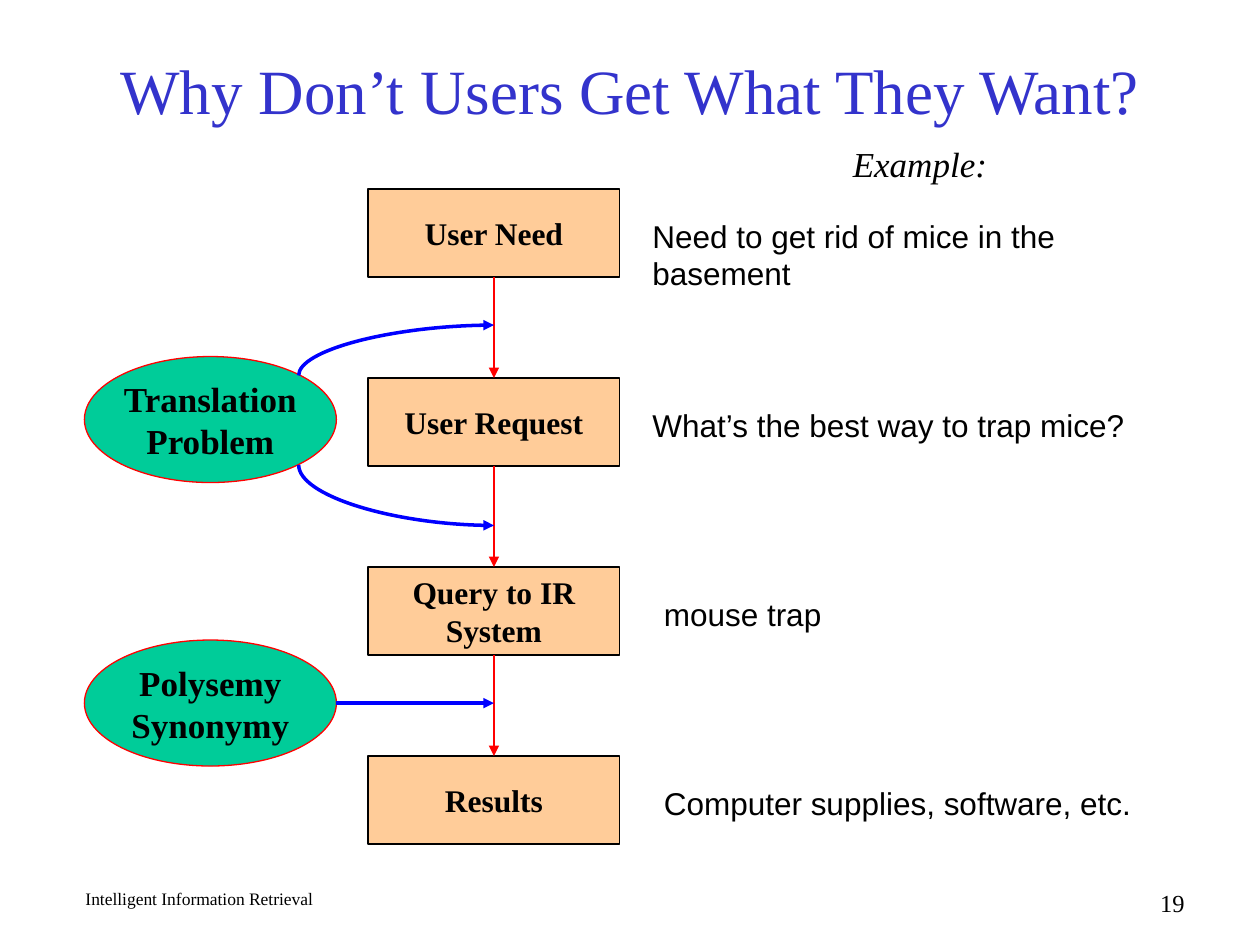
from dataclasses import dataclass

from lxml import etree
from pptx import Presentation
from pptx.dml.color import RGBColor
from pptx.enum.shapes import MSO_CONNECTOR, MSO_SHAPE
from pptx.enum.text import MSO_ANCHOR, MSO_AUTO_SIZE, PP_ALIGN
from pptx.oxml.ns import qn
from pptx.util import Inches, Pt

STRAIGHT, CURVE = MSO_CONNECTOR.STRAIGHT, MSO_CONNECTOR.CURVE
RECTANGLE, OVAL = MSO_SHAPE.RECTANGLE, MSO_SHAPE.OVAL
TOP, MIDDLE = MSO_ANCHOR.TOP, MSO_ANCHOR.MIDDLE
LEFT, CENTER, RIGHT = PP_ALIGN.LEFT, PP_ALIGN.CENTER, PP_ALIGN.RIGHT
FIT, FIXED = MSO_AUTO_SIZE.SHAPE_TO_FIT_TEXT, MSO_AUTO_SIZE.NONE
SITE_TOP, SITE_BOTTOM = 0, 2


@dataclass(frozen=True)
class Theme:
    serif: str = "Times New Roman"
    sans: str = "Arial"
    ink: str = "000000"
    title: str = "3333CC"
    step: str = "FFCC99"
    problem: str = "00CC99"
    flow: str = "FF0000"
    cause: str = "0000FF"
    title_size: int = 36
    problem_size: int = 20
    body_size: int = 18
    number_size: int = 14
    footer_size: int = 10
    thin: float = 0.75
    thick: float = 2


THEME = Theme()
STEP_X, STEP_Y, STEP_W, STEP_H, STEP_PITCH = 2.92, 1.5, 2, 0.7, 1.5
FLOW_X = STEP_X + STEP_W / 2
PROBLEM_X, PROBLEM_W, PROBLEM_H = 0.67, 2, 1

# Step label, example text, example left and width
STEPS = [
    ("User Need", "Need to get rid of mice in the basement", 5.08, 4.56),
    ("User Request", "What’s the best way to trap mice?", 5.08, 3.95),
    ("Query to IR\nSystem", "mouse trap", 5.17, 1.45),
    ("Results", "Computer supplies, software, etc.", 5.17, 3.91),
]


def write(frame, text, *, size, font=THEME.serif, color=THEME.ink, bold=False,
          italic=False, align=LEFT, anchor=TOP, wrap=True):
    frame.text = text
    frame.word_wrap = wrap
    frame.vertical_anchor = anchor
    for paragraph in frame.paragraphs:
        paragraph.alignment = align
        paragraph.font.name = font
        paragraph.font.size = Pt(size)
        paragraph.font.color.rgb = RGBColor.from_string(color)
        paragraph.font.bold = bold
        paragraph.font.italic = italic


def add_label(slide, text, box, *, auto_size=FIXED, **text_format):
    frame = slide.shapes.add_textbox(*map(Inches, box)).text_frame
    write(frame, text, **text_format)
    frame.auto_size = auto_size


def add_node(slide, kind, text, box, *, fill, outline, size):
    node = slide.shapes.add_shape(kind, *map(Inches, box))
    node.shadow.inherit = False
    node.fill.solid()
    node.fill.fore_color.rgb = RGBColor.from_string(fill)
    node.line.color.rgb = RGBColor.from_string(outline)
    node.line.width = Pt(THEME.thin)
    write(node.text_frame, text, size=size, bold=True, align=CENTER,
          anchor=MIDDLE, wrap=False)
    return node


def add_arrow(slide, start, end, *, color, width, kind=STRAIGHT):
    arrow = slide.shapes.add_connector(kind, *map(Inches, (*start, *end)))
    arrow.line.color.rgb = RGBColor.from_string(color)
    arrow.line.width = Pt(width)
    etree.SubElement(arrow.line._get_or_add_ln(), qn("a:tailEnd"), type="triangle")
    etree.SubElement(arrow._element.spPr, qn("a:effectLst"))
    return arrow


def add_bent_arrow(slide, start, end, **line_format):
    """Quarter curve that leaves start vertically and reaches end horizontally."""
    mid_x, mid_y = (start[0] + end[0]) / 2, (start[1] + end[1]) / 2
    half_x, half_y = (end[0] - start[0]) / 2, (end[1] - start[1]) / 2
    # Lay the curve out a quarter turn away, then rotate it into place
    arrow = add_arrow(slide, (mid_x + half_y, mid_y - half_x),
                      (mid_x - half_y, mid_y + half_x), kind=CURVE, **line_format)
    properties = arrow._element.spPr
    properties.find(qn("a:xfrm")).set("rot", str(270 * 60000))
    properties.find(qn("a:prstGeom")).set("prst", "curvedConnector2")


def add_steps(slide):
    steps = []
    for index, (name, example, example_x, example_w) in enumerate(STEPS):
        y = STEP_Y + index * STEP_PITCH
        steps.append(add_node(slide, RECTANGLE, name, (STEP_X, y, STEP_W, STEP_H),
                              fill=THEME.step, outline=THEME.ink,
                              size=THEME.body_size))
        add_label(slide, example, (example_x, y + 0.17, example_w, 0.4),
                  size=THEME.body_size, font=THEME.sans, wrap=False, auto_size=FIT)
    for index, (upper, lower) in enumerate(zip(steps, steps[1:])):
        y = STEP_Y + index * STEP_PITCH
        flow = add_arrow(slide, (FLOW_X, y + STEP_H), (FLOW_X, y + STEP_PITCH),
                         color=THEME.flow, width=THEME.thin)
        flow.begin_connect(upper, SITE_BOTTOM)
        flow.end_connect(lower, SITE_TOP)


def add_problems(slide):
    for name, y in (("Translation\nProblem", 2.83), ("Polysemy\nSynonymy", 5.08)):
        add_node(slide, OVAL, name, (PROBLEM_X, y, PROBLEM_W, PROBLEM_H),
                 fill=THEME.problem, outline=THEME.flow, size=THEME.problem_size)
    cause = {"color": THEME.cause, "width": THEME.thick}
    add_bent_arrow(slide, (2.37, 2.98), (FLOW_X, 2.58), **cause)
    add_bent_arrow(slide, (2.37, 3.69), (FLOW_X, 4.17), **cause)
    add_arrow(slide, (PROBLEM_X + PROBLEM_W, 5.58), (FLOW_X, 5.58), **cause)


def main():
    deck = Presentation()
    deck.slide_width, deck.slide_height = Inches(10), Inches(7.5)
    slide = deck.slides.add_slide(deck.slide_layouts[6])

    # Title and example heading
    add_label(slide, "Why Don’t Users Get What They Want?", (0.75, 0.33, 8.5, 0.75),
              size=THEME.title_size, color=THEME.title, align=CENTER, anchor=MIDDLE)
    add_label(slide, "Example:", (6.67, 1.08, 1.27, 0.43), size=THEME.problem_size,
              italic=True, wrap=False, auto_size=FIT)

    # Search process and what goes wrong in it
    add_steps(slide)
    add_problems(slide)

    # Footer
    add_label(slide, "Intelligent Information Retrieval", (0.58, 7, 3.75, 0.25),
              size=THEME.footer_size)
    add_label(slide, "19", (7.42, 7, 2.08, 0.25), size=THEME.number_size, align=RIGHT)

    deck.save("out.pptx")


if __name__ == "__main__":
    main()
